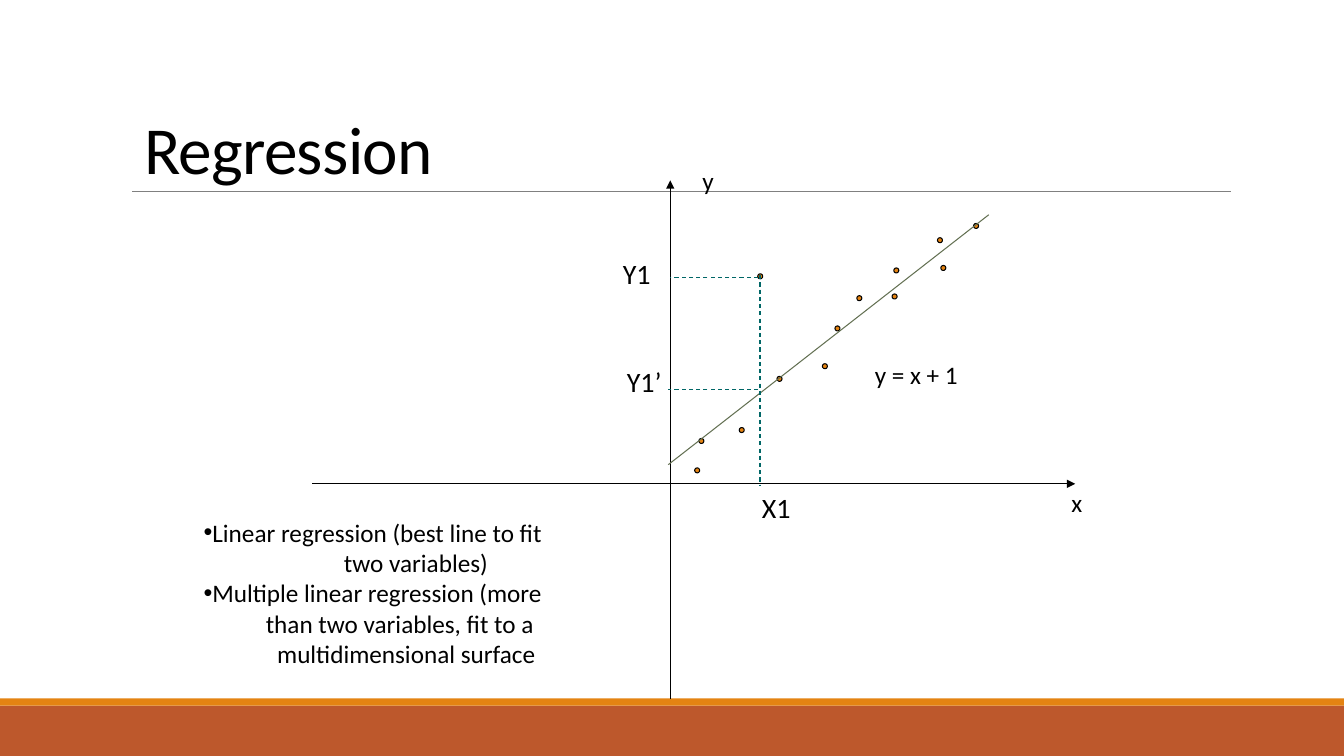
from pptx import Presentation
from pptx import util as u
from pptx.dml import color
from pptx.enum import dml, shapes, text
from pptx.oxml import ns, xmlchemy

COLUMNS, ROWS = 160, 90
TITLE_AND_CONTENT = 1
DOT_SIZE = 0.6
DOTS = [
    (97.9, 43.3), (92.5, 44.8), (90.2, 32.6), (88, 50.9), (99.4, 38.8),
    (102, 35.2), (83.2, 52.2), (106.2, 35), (106.4, 31.9), (112, 31.6),
    (82.7, 55.7), (111.6, 28.3), (115.9, 26.6),
]
LABELS = [
    ("x", 126.36, 57.48, 3.72, 4.8, 18),
    ("y", 82.44, 19.08, 3.84, 4.8, 18),
    ("y = x + 1", 102.96, 42.24, 12.48, 4.8, 18),
    ("X1", 89.52, 57.84, 5.88, 5.28, 20),
    ("Y1", 72.96, 30, 5.76, 5.28, 20),
    ("Y1’", 73.44, 42.84, 6.6, 5.28, 20),
]
LIST_LINES = [
    ("Linear regression (best line to fit", 0, "•"),
    ("two variables)", 16.7, None),
    ("Multiple linear regression (more", 0, "•"),
    ("than two variables, fit to a", 7.4, None),
    ("multidimensional surface", 8.75, None),
]


def rgb(value):
    return color.RGBColor.from_string(value)


def add_child(parent, tag, **attributes):
    child = xmlchemy.OxmlElement(tag)
    for name, value in attributes.items():
        child.set(name, value)
    parent.append(child)


def write(paragraph, content, size=18, font="Calibri", ink="000000",
          line_spacing=1.0, tracking=None):
    paragraph.alignment = text.PP_ALIGN.LEFT
    paragraph.line_spacing = line_spacing
    paragraph.space_before = u.Pt(0)
    run = paragraph.add_run()
    run.text = content
    run.font.size = u.Pt(size)
    run.font.name = font
    run.font.color.rgb = rgb(ink)
    if tracking is not None:
        run.font._element.set("spc", str(tracking))


class RegressionSlide:
    black, orange, rust = "000000", "E48312", "BD582C"
    gray, olive, teal = "808080", "637052", "006666"

    def __init__(self, presentation):
        self.column = presentation.slide_width / COLUMNS
        self.row = presentation.slide_height / ROWS
        layout = presentation.slide_layouts[TITLE_AND_CONTENT]
        self.slide = presentation.slides.add_slide(layout)

    def place(self, left, top, width, height):
        return (round(left * self.column), round(top * self.row),
                round(width * self.column), round(height * self.row))

    def shape(self, kind, left, top, width, height, fill, outline=None):
        shape = self.slide.shapes.add_shape(
            kind, *self.place(left, top, width, height))
        shape.shadow.inherit = False
        shape.fill.solid()
        shape.fill.fore_color.rgb = rgb(fill)
        if outline:
            shape.line.color.rgb = rgb(outline)
            shape.line.width = u.Pt(0.75)
        else:
            shape.line.fill.background()

    def line(self, start, end, ink, width=0.75, dashed=False, arrow=False):
        connector = self.slide.shapes.add_connector(
            shapes.MSO_CONNECTOR.STRAIGHT, *self.place(*start, *end))
        connector.line.color.rgb = rgb(ink)
        connector.line.width = u.Pt(width)
        if dashed:
            connector.line.dash_style = dml.MSO_LINE.DASH
        properties = connector._element.spPr
        if arrow:
            add_child(properties.find(ns.qn("a:ln")), "a:tailEnd", type="triangle")
        add_child(properties, "a:effectLst")

    def label(self, content, left, top, width, height, size):
        box = self.slide.shapes.add_textbox(*self.place(left, top, width, height))
        box.text_frame.word_wrap = False
        write(box.text_frame.paragraphs[0], content, size=size)

    def placeholder(self, index, left, top, width, height, anchor):
        shape = self.slide.placeholders[index]
        shape.left, shape.top, shape.width, shape.height = self.place(
            left, top, width, height)
        frame = shape.text_frame
        frame.auto_size = text.MSO_AUTO_SIZE.NONE
        frame.word_wrap = True
        frame.vertical_anchor = anchor
        return frame

    def title(self, content, *area):
        frame = self.placeholder(0, *area, text.MSO_ANCHOR.BOTTOM)
        write(frame.paragraphs[0], content, size=48, line_spacing=0.85, tracking=-50)

    def list(self, lines, *area):
        frame = self.placeholder(1, *area, text.MSO_ANCHOR.TOP)
        for number, (content, indent, bullet) in enumerate(lines):
            paragraph = frame.add_paragraph() if number else frame.paragraphs[0]
            properties = paragraph._p.get_or_add_pPr()
            properties.set("marL", str(round(indent * self.column)))
            properties.set("indent", "0")
            if bullet:
                add_child(properties, "a:buChar", char=bullet)
            else:
                add_child(properties, "a:buNone")
            write(paragraph, content)


def main():
    presentation = Presentation()
    presentation.slide_width = u.Inches(13.33)
    presentation.slide_height = u.Inches(7.5)
    page = RegressionSlide(presentation)
    rectangle, oval = shapes.MSO_SHAPE.RECTANGLE, shapes.MSO_SHAPE.OVAL

    page.shape(rectangle, 0, 84, COLUMNS, 6, page.rust)
    page.shape(rectangle, 0, 83.16, COLUMNS, 0.84, page.orange)
    page.line((15.72, 22.8), (146.52, 22.8), page.gray, width=0.5)
    page.title("Regression", 15.96, 8.04, 62.88, 15)

    page.line((37.2, 57.6), (128, 57.6), page.black, arrow=True)
    page.line((79.8, 83.16), (79.8, 21.48), page.black, arrow=True)
    for left, top in DOTS:
        page.shape(oval, left, top, DOT_SIZE, DOT_SIZE, page.orange, page.black)
    page.line((79.56, 55.32), (117.72, 25.56), page.olive)

    page.line((90.48, 32.76), (90.48, 57.84), page.teal, dashed=True)
    page.line((90.24, 33), (79.8, 33), page.teal, dashed=True)
    page.line((90.24, 46.32), (79.56, 46.32), page.teal, dashed=True)
    for label in LABELS:
        page.label(*label)
    page.list(LIST_LINES, 23.04, 60.96, 44.28, 19.44)

    presentation.save("out.pptx")


if __name__ == "__main__":
    main()
